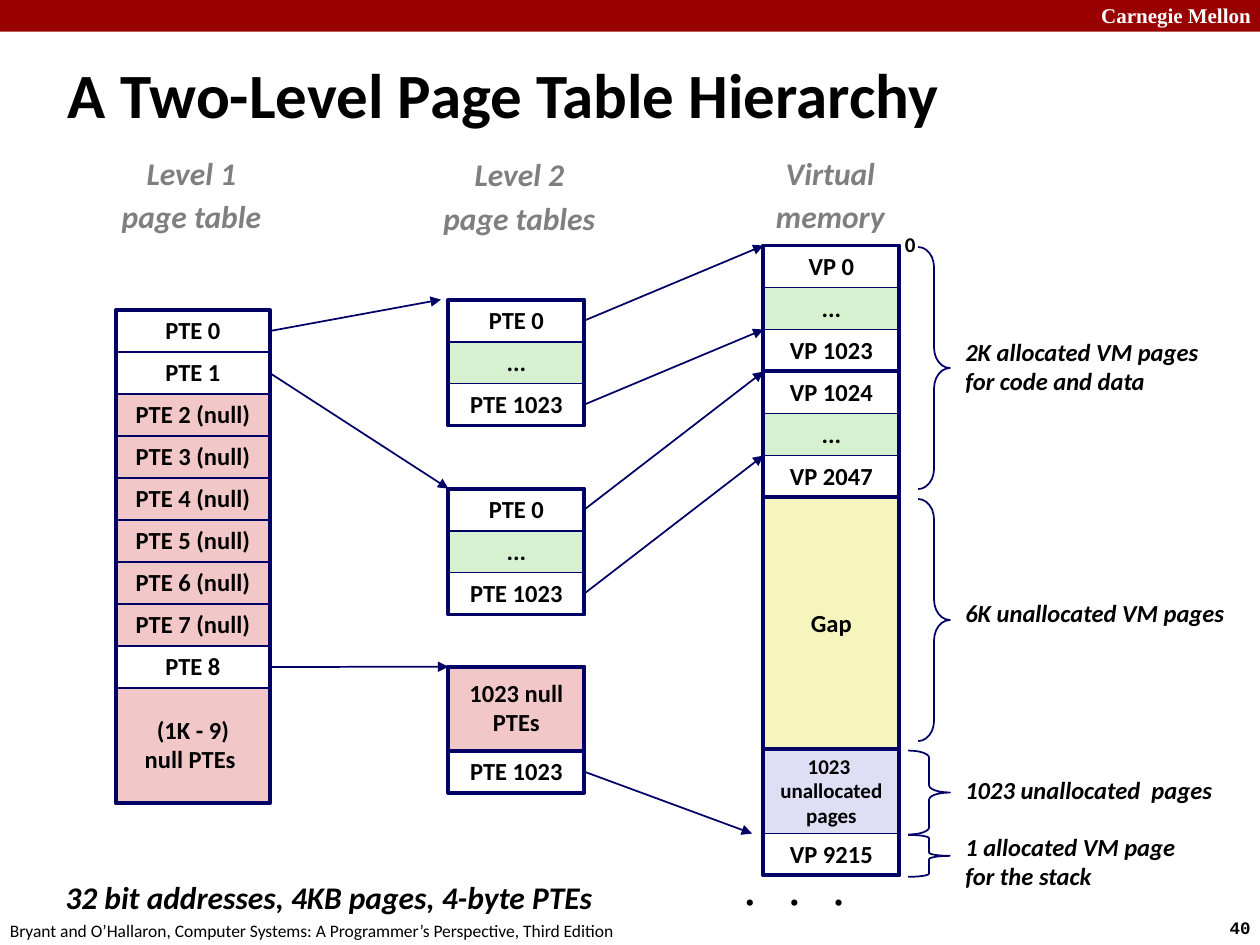
from collections import namedtuple

from lxml.etree import SubElement
from pptx import Presentation
from pptx.dml.color import RGBColor
from pptx.enum.shapes import MSO_CONNECTOR, MSO_SHAPE as SHAPE
from pptx.enum.text import MSO_ANCHOR as ANCHOR, PP_ALIGN as ALIGN
from pptx.oxml.ns import qn
from pptx.util import Cm, Pt

COLORS = {
    "banner": "990000", "navy": "000066", "black": "000000", "white": "FFFFFF",
    "gray": "7F7F7F", "green": "D5F1CF", "pink": "F1C7C7",
    "yellow": "F6F5BD", "lilac": "DEDFF5",
}
ROW = 2.54 / 3  # height of one table entry, in cm

Entry = namedtuple("Entry", "text fill rows size weight", defaults=(None, 1, 14, 1))


def write(shape, text, size, color="black", font="Calibri", bold=True, italic=False,
          align=ALIGN.LEFT, anchor=ANCHOR.TOP, spacing=None, before=0):
    frame = shape.text_frame
    frame.word_wrap = True
    frame.vertical_anchor = anchor
    frame.text = text
    for index, line in enumerate(frame.paragraphs):
        line.alignment = align
        if spacing:
            line.line_spacing = spacing
        if index and before:
            line.space_before = Pt(before)
        for run in line.runs:
            run.font.name, run.font.size = font, Pt(size)
            run.font.bold, run.font.italic = bold, italic
            run.font.color.rgb = RGBColor.from_string(COLORS[color])


def add_label(slide, box, text, size, **style):
    label = slide.shapes.add_textbox(*map(Cm, box))
    write(label, text, size, **style)
    return label


def add_outline(slide, kind, box, fill=None, line="navy", weight=1):
    outline = slide.shapes.add_shape(kind, *map(Cm, box))
    outline.shadow.inherit = False
    if fill:
        outline.fill.solid()
        outline.fill.fore_color.rgb = RGBColor.from_string(COLORS[fill])
    else:
        outline.fill.background()
    if line:
        outline.line.color.rgb = RGBColor.from_string(COLORS[line])
        outline.line.width = Pt(weight)
    else:
        outline.line.fill.background()
    return outline


def draw_block(slide, x, y, width, entries):
    """Stack the entries from (x, y) down inside a thick frame; return the cells."""
    cells, top = [], y
    for entry in entries:
        height = entry.rows * ROW
        cell = add_outline(slide, SHAPE.RECTANGLE, (x, top, width, height),
                           entry.fill, weight=entry.weight)
        write(cell, entry.text, entry.size, align=ALIGN.CENTER,
              anchor=ANCHOR.MIDDLE, spacing=0.98)
        cells.append(cell)
        top += height
    add_outline(slide, SHAPE.RECTANGLE, (x, y, width, top - y), weight=2.25)
    return cells


def draw_heading(slide, center, y, text):
    width = 4.2
    add_label(slide, (center - width / 2, y, width, 1.83), text, 18, color="gray",
              italic=True, align=ALIGN.CENTER, spacing=0.88, before=6)


def draw_level_1(slide, x, y, width):
    draw_heading(slide, x + width / 2 - 0.03, 3.07, "Level 1\npage table")
    entries = [Entry("PTE 0"), Entry("PTE 1")]
    entries += [Entry(f"PTE {number} (null)", "pink") for number in range(2, 8)]
    entries += [Entry("PTE 8"), Entry("(1K - 9)\nnull PTEs ", "pink", 2.75)]
    return draw_block(slide, x, y, width, entries)


def draw_level_2(slide, x, tops, width):
    draw_heading(slide, x + width / 2 + 0.06, 3.1, "Level 2\npage tables")
    full = [Entry("PTE 0"), Entry("...", "green"), Entry("PTE 1023")]
    sparse = [Entry("1023 null\nPTEs", "pink", 2, weight=2.25), Entry("PTE 1023")]
    return [draw_block(slide, x, top, width, entries)
            for top, entries in zip(tops, (full, full, sparse))]


def draw_memory(slide, x, y, width):
    draw_heading(slide, x + width / 2 - 0.02, 3.07, "Virtual\nmemory")
    blocks = [
        [Entry("VP 0"), Entry("...", "green"), Entry("VP 1023")],
        [Entry("VP 1024"), Entry("...", "green"), Entry("VP 2047")],
        [Entry("Gap", "yellow", 6)],
        [Entry("1023 \nunallocated\npages", "lilac", 2, 12), Entry("VP 9215")],
    ]
    cells, top = [], y
    for entries in blocks:
        cells.append(draw_block(slide, x, top, width, entries))
        top += sum(entry.rows for entry in entries) * ROW
    # Start address, and dots for the memory that follows
    add_label(slide, (x + width - 0.15, y - 0.38, 0.74, 0.76), "0", 12,
              align=ALIGN.CENTER, anchor=ANCHOR.MIDDLE, spacing=0.98)
    dots = add_label(slide, (x + 1.12, top - 0.05, 0.94, 1.42), "...", 24, spacing=0.88)
    dots.rotation = 90
    return cells


def draw_arrow(slide, source, target, gap=0):
    """Point from the right side of source to the top left corner of target."""
    arrow = slide.shapes.add_connector(
        MSO_CONNECTOR.STRAIGHT, source.left + source.width,
        source.top + source.height // 2, target.left - Cm(gap), target.top)
    arrow.begin_connect(source, 3)
    arrow.line.color.rgb = RGBColor.from_string(COLORS["navy"])
    arrow.line.width = Pt(1)
    SubElement(arrow.line._get_or_add_ln(), qn("a:tailEnd"), type="triangle")
    SubElement(arrow._element.spPr, qn("a:effectLst"))


def draw_notes(slide, right, text_x):
    """Braces ending at right, each with its text."""
    notes = [  # brace top, width, height, curve, text middle, text
        (4.98, 0.64, 4.88, 0.64, 7.4, "2K allocated VM pages\nfor code and data"),
        (10.06, 0.64, 4.88, 0.64, 12.38, "6K unallocated VM pages"),
        (15.13, 0.84, 2 * ROW, 0.17, 15.94, "1023 unallocated  pages"),
        (16.83, 0.84, ROW, 0.08, 17.39, "1 allocated VM page\nfor the stack"),
    ]
    for top, width, height, curve, middle, text in notes:
        brace = add_outline(slide, SHAPE.RIGHT_BRACE, (right - width, top, width, height))
        brace.adjustments[0] = curve
        add_label(slide, (text_x, middle - 0.72, 6.1, 1.44), text, 14, italic=True,
                  anchor=ANCHOR.MIDDLE, spacing=0.98)


def draw_page_frame(slide, width):
    add_outline(slide, SHAPE.RECTANGLE, (0, 0, width, 0.64), "banner", line=None)
    add_label(slide, (width - 3.45, -0.08, 3.7, 0.76), "Carnegie Mellon", 12,
              color="white", font="Times New Roman")
    add_label(slide, (width - 0.86, 18.36, 1.14, 0.69), "40", 10, font="Courier New")
    add_label(slide, (-0.05, 18.42, 13.2, 0.69),
              "Bryant and O’Hallaron, Computer Systems: A Programmer’s Perspective, "
              "Third Edition", 10, bold=False)
    add_label(slide, (1.12, 0.79, 23, 2.18), "A Two-Level Page Table Hierarchy", 36,
              anchor=ANCHOR.MIDDLE)
    add_label(slide, (1.07, 17.58, 11.7, 1.02),
              "32 bit addresses, 4KB pages, 4-byte PTEs", 18, italic=True)


def main():
    deck = Presentation()
    deck.slide_width, deck.slide_height = Cm(25.4), Cm(19.05)
    slide = deck.slides.add_slide(deck.slide_layouts[6])

    draw_page_frame(slide, 25.4)
    level_1 = draw_level_1(slide, 2.34, 6.25, 3.1)
    first, second, last = draw_level_2(slide, 9.04, (6.04, 9.85, 13.44), 2.74)
    low, high, _, stack = draw_memory(slide, 15.39, 4.95, 2.74)

    # Level 1 to level 2
    draw_arrow(slide, level_1[0], first[0], gap=0.15)
    draw_arrow(slide, level_1[1], second[0])
    draw_arrow(slide, level_1[8], last[0])
    # Level 2 to memory
    for table, pages in ((first, low), (second, high)):
        for index in (0, 2):
            draw_arrow(slide, table[index], pages[index])
    draw_arrow(slide, last[1], stack[1], gap=0.23)

    draw_notes(slide, 19.15, 19.21)
    deck.save("out.pptx")


if __name__ == "__main__":
    main()
